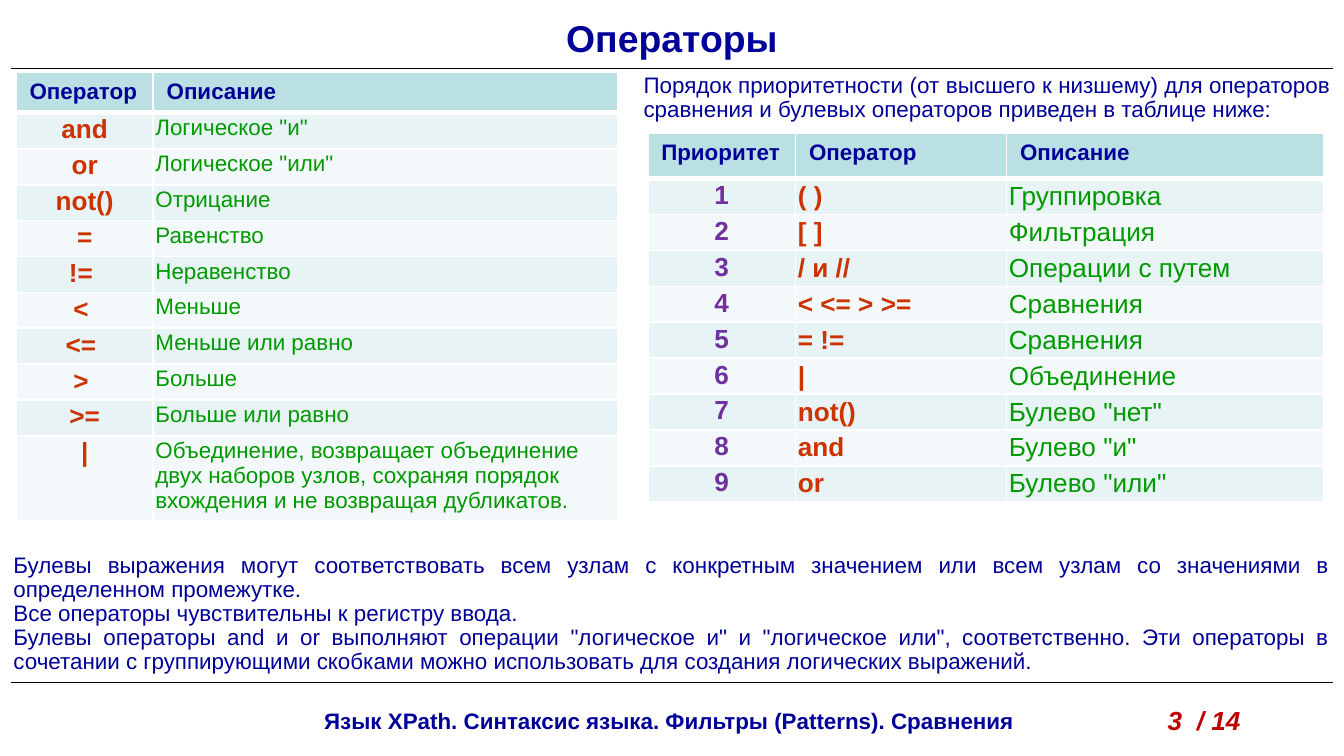
from lxml import etree
from pptx import Presentation
from pptx.dml.color import RGBColor
from pptx.enum.shapes import MSO_CONNECTOR
from pptx.enum.text import MSO_ANCHOR, MSO_AUTO_SIZE, PP_ALIGN
from pptx.oxml.ns import qn
from pptx.util import Inches, Pt

LEFT, CENTER, JUSTIFY = PP_ALIGN.LEFT, PP_ALIGN.CENTER, PP_ALIGN.JUSTIFY
TOP, MIDDLE = MSO_ANCHOR.TOP, MSO_ANCHOR.MIDDLE
FONT = "Arial"
NAVY = RGBColor(0x00, 0x00, 0x99)
RED = RGBColor(0xC0, 0x00, 0x00)
ORANGE = RGBColor(0xCC, 0x33, 0x00)
GREEN = RGBColor(0x00, 0x99, 0x00)
PURPLE = RGBColor(0x70, 0x30, 0xA0)
BLACK = RGBColor(0x00, 0x00, 0x00)
HEADER_FILL = RGBColor(0xBB, 0xE0, 0xE3)
BAND_FILLS = (RGBColor(0xE7, 0xF3, 0xF4), RGBColor(0xF3, 0xF9, 0xFA))

# Content
TITLE = "Операторы"
FOOTER = "Язык XPath. Синтаксис языка. Фильтры (Patterns). Сравнения"
PAGE_NUMBER = "3  / 14"
PRIORITY_INTRO = ("Порядок приоритетности (от высшего к низшему) для операторов сравнения "
                  "и булевых операторов приведен в таблице ниже:")
NOTES = [
    "Булевы выражения могут соответствовать всем узлам с конкретным значением "
    "или всем узлам со значениями в определенном промежутке.",
    "Все операторы чувствительны к регистру ввода.",
    "Булевы операторы and и or выполняют операции \"логическое и\" и \"логическое или\", "
    "соответственно. Эти операторы в сочетании с группирующими скобками можно "
    "использовать для создания логических выражений.",
]
OPERATORS = [
    ("Оператор", "Описание"),
    ("and", "Логическое \"и\""),
    ("or", "Логическое \"или\""),
    ("not()", "Отрицание"),
    ("=", "Равенство"),
    ("!= ", "Неравенство"),
    ("< ", "Меньше"),
    ("<= ", "Меньше или равно"),
    ("> ", "Больше"),
    (">=", "Больше или равно"),
    ("|", "Объединение, возвращает объединение двух наборов узлов, сохраняя порядок "
          "вхождения и не возвращая дубликатов."),
]
PRIORITIES = [
    ("Приоритет", "Оператор", "Описание"),
    ("1", "( )", "Группировка"),
    ("2", "[ ]", "Фильтрация"),
    ("3", "/ и //", "Операции с путем"),
    ("4", "< <= > >=", "Сравнения"),
    ("5", "= !=", "Сравнения"),
    ("6", "|", "Объединение"),
    ("7", "not()", "Булево \"нет\""),
    ("8", "and", "Булево \"и\""),
    ("9", "or", "Булево \"или\""),
]
# Body style of each column: size, colour, bold, alignment, anchor
OPERATOR_STYLES = [(14, ORANGE, True, CENTER, TOP), (12, GREEN, False, LEFT, TOP)]
PRIORITY_STYLES = [(14, PURPLE, True, CENTER, TOP), (14, ORANGE, True, JUSTIFY, MIDDLE),
                   (14, GREEN, False, JUSTIFY, MIDDLE)]
BODY_ROW = 2.4 / 9


def write(frame, texts, size, color, bold=False, italic=False, align=LEFT, spacing=None):
    for index, text in enumerate(texts):
        paragraph = frame.paragraphs[0] if index == 0 else frame.add_paragraph()
        paragraph.alignment = align
        if spacing:
            paragraph.line_spacing = spacing
        run = paragraph.add_run()
        run.text = text
        font = run.font
        font.name, font.size, font.bold, font.italic = FONT, Pt(size), bold, italic
        font.color.rgb = color


def place(shape, box):
    shape.left, shape.top, shape.width, shape.height = map(Inches, box)


def add_text(slide, box, text, size, color, **style):
    frame = slide.shapes.add_textbox(*map(Inches, box)).text_frame
    frame.word_wrap = True
    write(frame, [text], size, color, **style)


def add_rule(slide, y):
    rule = slide.shapes.add_connector(
        MSO_CONNECTOR.STRAIGHT, Inches(0.08), Inches(y), Inches(9.92), Inches(y))
    rule.line.color.rgb = BLACK
    rule.line.width = Pt(0.75)
    etree.SubElement(rule._element.spPr, qn("a:effectLst"))


def set_borders(cell, bottom):
    properties = cell._tc.get_or_add_tcPr()
    for index, (side, width) in enumerate((("L", 1), ("R", 1), ("T", 1), ("B", bottom))):
        line = etree.Element(qn(f"a:ln{side}"), w=str(Pt(width)))
        fill = etree.SubElement(line, qn("a:solidFill"))
        etree.SubElement(fill, qn("a:srgbClr"), val="FFFFFF")
        properties.insert(index, line)


def add_table(slide, left, top, widths, heights, rows, styles):
    table = slide.shapes.add_table(
        len(rows), len(widths), Inches(left), Inches(top),
        Inches(sum(widths)), Inches(sum(heights))).table
    table.horz_banding = False
    for column, width in zip(table.columns, widths):
        column.width = Inches(width)
    for row_index, texts in enumerate(rows):
        table.rows[row_index].height = Inches(heights[row_index])
        for column_index, text in enumerate(texts):
            cell = table.cell(row_index, column_index)
            cell.fill.solid()
            if row_index == 0:
                cell.fill.fore_color.rgb = HEADER_FILL
                size, color, bold, align, anchor = 12, NAVY, True, LEFT, TOP
            else:
                cell.fill.fore_color.rgb = BAND_FILLS[(row_index - 1) % 2]
                size, color, bold, align, anchor = styles[column_index]
                cell.margin_left = cell.margin_right = Pt(1.2)
                cell.margin_top = cell.margin_bottom = Pt(1.2)
            cell.vertical_anchor = anchor
            write(cell.text_frame, [text], size, color, bold, align=align)
            set_borders(cell, 3 if row_index == 0 else 1)


def main():
    presentation = Presentation()
    presentation.slide_width = Inches(10)
    presentation.slide_height = Inches(10) * 9 // 16
    slide = presentation.slides.add_slide(presentation.slide_layouts[1])
    title, notes = slide.placeholders

    # Title and footer with their rules
    place(title, (0, 0.06, 10, 0.45))
    title.text_frame.auto_size = MSO_AUTO_SIZE.NONE
    title.text_frame.vertical_anchor = TOP
    write(title.text_frame, [TITLE], 20, NAVY, bold=True, align=CENTER)
    for y in (0.51, 5.08):
        add_rule(slide, y)
    add_text(slide, (1.25, 5.21, 7.46, 0.3), FOOTER, 12, NAVY, bold=True, align=CENTER)
    add_text(slide, (8.59, 5.19, 1.02, 0.34), PAGE_NUMBER, 14, RED, bold=True, italic=True)

    # Operators on the left, priorities on the right
    add_table(slide, 0.12, 0.54, (1.02, 3.46), [0.3] + [BODY_ROW] * 9 + [0.63],
              OPERATORS, OPERATOR_STYLES)
    add_text(slide, (4.69, 0.5, 5.31, 0.46), PRIORITY_INTRO, 12, NAVY,
             align=JUSTIFY, spacing=0.9)
    add_table(slide, 4.82, 0.99, (1.1, 1.57, 2.36), [0.34] + [BODY_ROW] * 9,
              PRIORITIES, PRIORITY_STYLES)

    # Notes below the tables, without bullets
    place(notes, (0, 4.07, 10, 1.01))
    notes.text_frame.auto_size = MSO_AUTO_SIZE.NONE
    write(notes.text_frame, NOTES, 12, NAVY, align=JUSTIFY, spacing=0.9)
    for paragraph in notes.text_frame.paragraphs:
        paragraph.space_before = Pt(0)
        properties = paragraph._p.get_or_add_pPr()
        properties.set("marL", "0")
        properties.set("indent", "0")
        etree.SubElement(properties, qn("a:buNone"))

    presentation.save("out.pptx")


if __name__ == "__main__":
    main()
